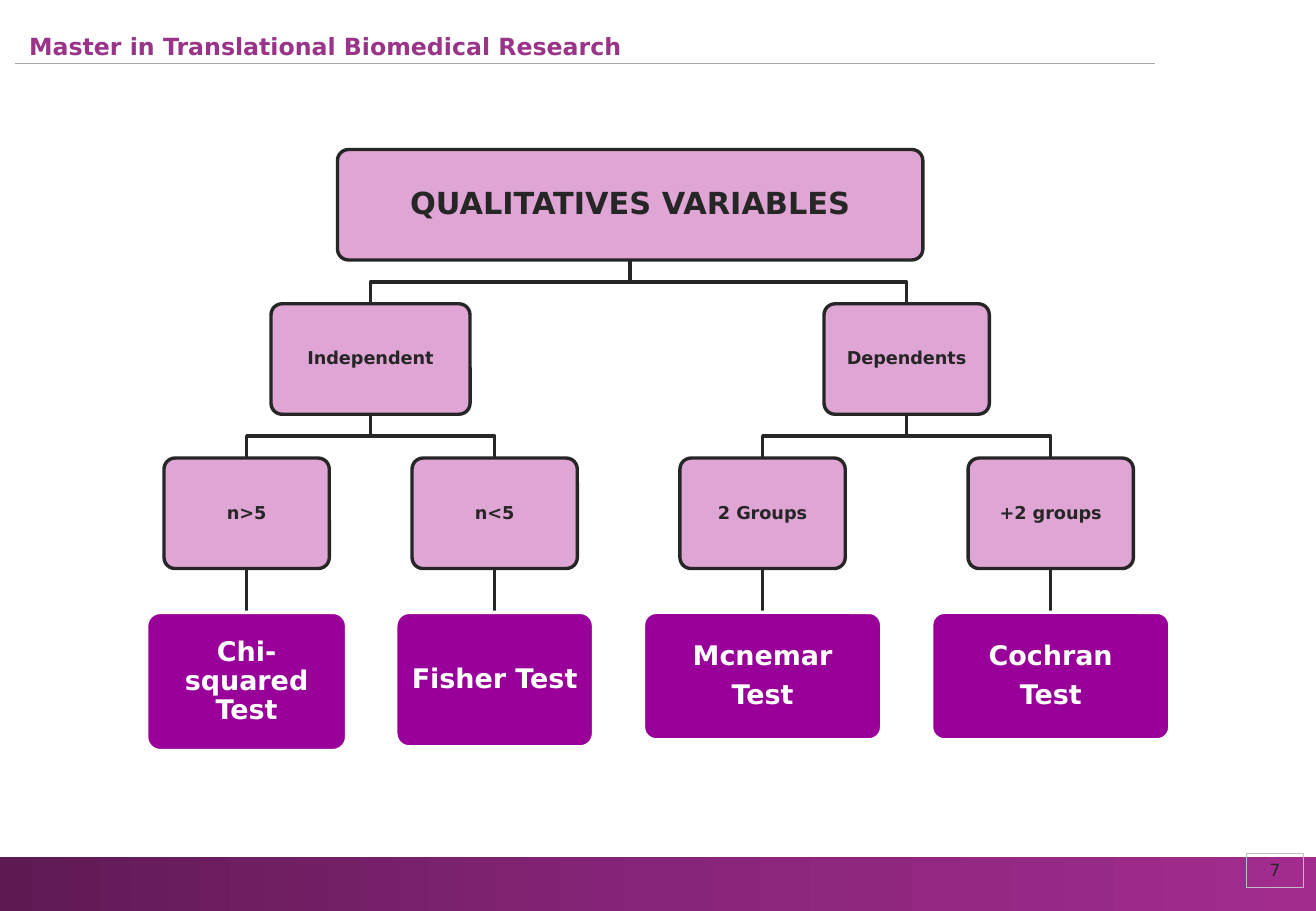
from copy import deepcopy

from lxml.etree import SubElement
from pptx import Presentation
from pptx.dml.color import RGBColor
from pptx.enum.shapes import MSO_CONNECTOR as Link, MSO_SHAPE as Shape
from pptx.enum.text import MSO_ANCHOR as Anchor, MSO_AUTO_SIZE as AutoSize, PP_ALIGN as Align
from pptx.oxml.ns import qn
from pptx.util import Pt

COLORS = {
    "heading": "993489", "rule": "A6A6A6", "number_border": "BFBFBF",
    "ink": "262626", "node": "DFA5D4", "test": "990099", "white": "FFFFFF",
    "band_start": "5F1A54", "band_middle": "872578", "band_end": "A12C8E",
}
FIRST_ROW, ROW_PITCH, NODE_HEIGHT = 88.6, 91.45, 65.5

# Each node: label, centre, width, height, font size, children
TREE = ("QUALITATIVES VARIABLES", 373.5, 347, NODE_HEIGHT, 18, [
    ("Independent", 219.6, 118, NODE_HEIGHT, 10.5, [
        ("n>5", 146.2, 98, NODE_HEIGHT, 10.5, [
            ("Chi-squared Test", 146.2, 118.6, 82, 16, [])]),
        ("n<5", 293.2, 98, NODE_HEIGHT, 10.5, [
            ("Fisher Test", 293.2, 117.2, 79.8, 16, [])]),
    ]),
    ("Dependents", 537.4, 98, NODE_HEIGHT, 10.5, [
        ("2 Groups", 452, 98, NODE_HEIGHT, 10.5, [
            ("Mcnemar\nTest", 452, 141.2, 75.6, 16, [])]),
        ("+2 groups", 622.8, 98, NODE_HEIGHT, 10.5, [
            ("Cochran\nTest", 622.8, 141.2, 75.6, 16, [])]),
    ]),
])


def color(name):
    return RGBColor.from_string(COLORS[name])


class Painter:
    def __init__(self, slide, font="DejaVu Sans"):
        self.slide, self.shapes, self.font = slide, slide.shapes, font

    def outline(self, line, name, width):
        line.color.rgb = color(name)
        line.width = Pt(width)

    def text(self, shape, text, size, name, bold=False, align=Align.CENTER):
        shape.text_frame.text = text
        for para in shape.text_frame.paragraphs:
            para.alignment = align
            font = para.font
            font.name, font.size, font.bold = self.font, Pt(size), bold
            font.color.rgb = color(name)

    def title(self, text, left, top, width, height):
        title = self.shapes.title
        title.left, title.top, title.width, title.height = map(Pt, (left, top, width, height))
        title.text_frame.auto_size = AutoSize.NONE
        title.text_frame.vertical_anchor = Anchor.TOP
        self.text(title, text, 14, "heading", bold=True, align=Align.LEFT)

    def band(self, left, top, width, height):
        band = self.shapes.add_shape(Shape.RECTANGLE, *map(Pt, (left, top, width, height)))
        band.shadow.inherit = False
        band.line.fill.background()
        band.fill.gradient()
        band.fill.gradient_angle = 0
        stop_list = band.fill.gradient_stops and band.element.spPr.find(".//" + qn("a:gsLst"))
        stop_list.insert(1, deepcopy(stop_list[0]))
        names = ("band_start", "band_middle", "band_end")
        for stop, name, position in zip(band.fill.gradient_stops, names, (0, 0.5, 1)):
            stop.color.rgb = color(name)
            stop.position = position

    def number(self, text, left, top, width, height):
        box = self.shapes.add_textbox(*map(Pt, (left, top, width, height)))
        box.text_frame.word_wrap = True
        self.outline(box.line, "number_border", 0.75)
        self.text(box, text, 10, "ink")

    def line(self, start, end, name, width):
        line = self.shapes.add_connector(Link.STRAIGHT, *map(Pt, (*start, *end)))
        self.outline(line.line, name, width)
        SubElement(line.element.spPr, qn("a:effectLst"))
        return line

    def branch(self, start, end):
        middle = (start[1] + end[1]) / 2
        points = [(start[0], middle), (end[0], middle), end]
        builder = self.shapes.build_freeform(Pt(start[0]), Pt(start[1]))
        builder.add_line_segments([(Pt(x), Pt(y)) for x, y in points], close=False)
        branch = builder.convert_to_shape()
        branch.shadow.inherit = False
        branch.fill.background()
        self.outline(branch.line, "ink", 2)

    def box(self, label, center, top, width, height, size, is_test):
        box = self.shapes.add_shape(
            Shape.ROUNDED_RECTANGLE, *map(Pt, (center - width / 2, top, width, height)))
        box.adjustments[0] = 0.1
        box.shadow.inherit = False
        box.fill.solid()
        box.fill.fore_color.rgb = color("test" if is_test else "node")
        self.outline(box.line, "white" if is_test else "ink", 2)
        frame = box.text_frame
        frame.word_wrap = True
        frame.vertical_anchor = Anchor.MIDDLE
        inset = Pt(5 if size > 12 else 3.5)
        frame.margin_left = frame.margin_right = frame.margin_top = frame.margin_bottom = inset
        self.text(box, label, size, "white" if is_test else "ink", bold=True)
        for para in frame.paragraphs:
            para.line_spacing = 0.9
            para.space_after = Pt(size * 0.38)
        return box

    def tree(self, node, level=0):
        label, center, width, height, size, children = node
        top = FIRST_ROW + level * ROW_PITCH
        box = self.box(label, center, top, width, height, size, is_test=not children)
        start = (center, top + height)
        for child in children:
            end = (child[1], top + ROW_PITCH)
            if len(children) > 1:
                self.branch(start, end)
                self.tree(child, level + 1)
            else:
                # The line lies behind the test box it leads to
                line = self.line(start, end, "ink", 2)
                line.begin_connect(box, 2)
                line.end_connect(self.tree(child, level + 1), 0)
        return box


def main():
    deck = Presentation()
    deck.slide_width, deck.slide_height = Pt(780), Pt(540)
    page = Painter(deck.slides.add_slide(deck.slide_layouts[5]))

    # Header and footer
    page.title("Master in Translational Biomedical Research", 10, 15.1, 505, 24.5)
    page.band(0, 508.3, 780, 31.7)
    page.line((9.2, 37.5), (684.7, 37.5), "rule", 0.75)
    page.number("7", 738.7, 506, 34, 20)

    # Decision tree
    page.tree(TREE)
    deck.save("out.pptx")


if __name__ == "__main__":
    main()
